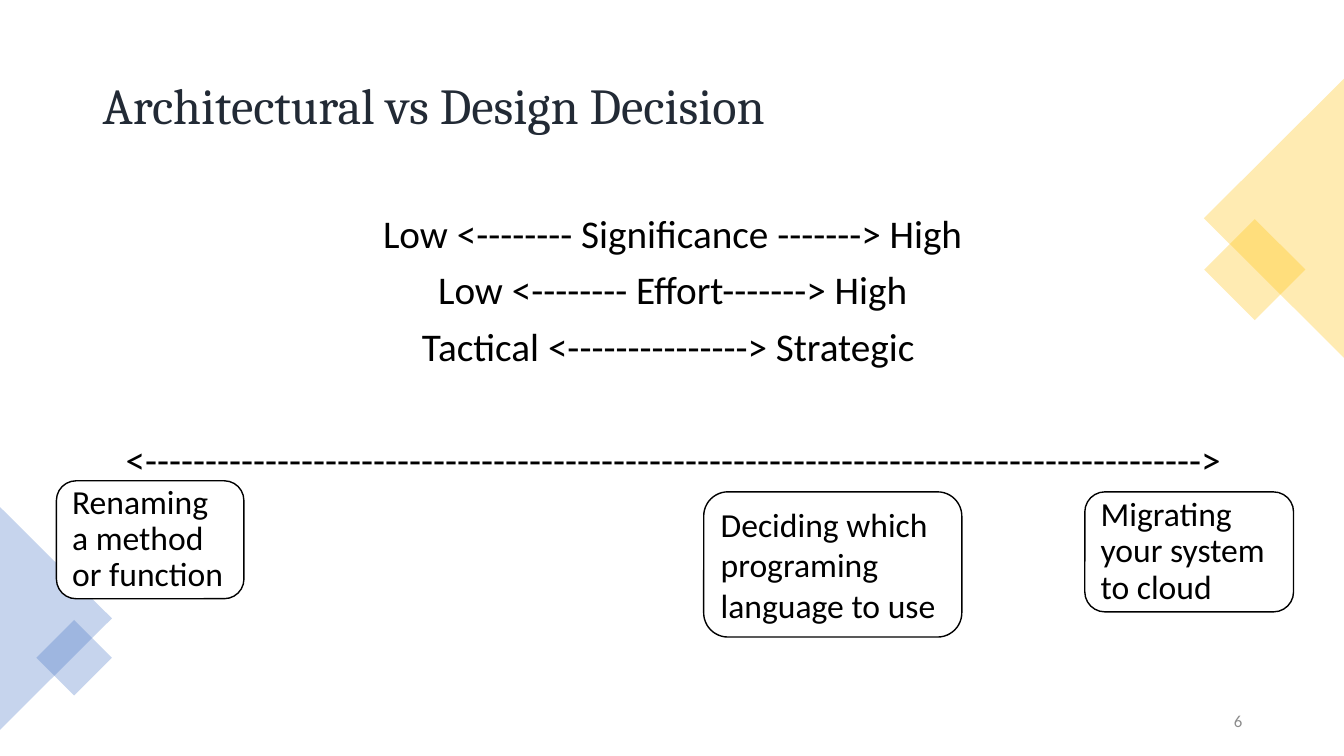
from dataclasses import dataclass

from lxml.etree import SubElement
from pptx import Presentation
from pptx.dml.color import RGBColor
from pptx.enum.shapes import MSO_SHAPE as Preset
from pptx.enum.text import MSO_ANCHOR as Anchor, PP_ALIGN as Align
from pptx.oxml.ns import qn
from pptx.util import Pt

EMU_PER_PX = 9144  # 100 px to the inch
GOLD, BLUE = "FFC000", "4472C4"
BLACK, WHITE, NAVY, GREY = "000000", "FFFFFF", "222A35", "8C8C8C"
TIGHT = 0.9


@dataclass(frozen=True)
class Box:
    left: int
    top: int
    width: int
    height: int

    def emu(self) -> list[int]:
        return [v * EMU_PER_PX for v in (self.left, self.top, self.width, self.height)]


@dataclass(frozen=True)
class Style:
    size: int
    color: str = BLACK
    font: str = "Calibri"
    align: Align = Align.LEFT
    spacing: float = 1.0


@dataclass(frozen=True)
class Ornament:
    preset: Preset
    box: Box
    rotation: int
    color: str


@dataclass(frozen=True)
class Decision:
    text: str
    box: Box
    spacing: float = TIGHT


@dataclass(frozen=True)
class Scale:
    text: str
    space_before: int


ORNAMENTS = [
    Ornament(Preset.RECTANGLE, Box(1209, 232, 71, 71), 45, GOLD),
    Ornament(Preset.ISOSCELES_TRIANGLE, Box(1125, 147, 277, 139), 270, GOLD),
    Ornament(Preset.ISOSCELES_TRIANGLE, Box(-55, 558, 221, 111), 90, BLUE),
    Ornament(Preset.RECTANGLE, Box(47, 626, 53, 53), 45, BLUE),
]
SCALES = [
    Scale("Low <-------- Significance -------> High", 0),
    Scale("Low <-------- Effort-------> High", 10),
    Scale("Tactical <---------------> Strategic ", 10),
    Scale("<" + "-" * 88 + ">", 51),
]
DECISIONS = [
    Decision("Deciding which programing language to use", Box(698, 488, 256, 144), 1.0),
    Decision("Renaming a method or function", Box(56, 477, 186, 117)),
    Decision("Migrating your system to cloud", Box(1076, 488, 207, 119)),
]


def rgb(color: str) -> RGBColor:
    return RGBColor.from_string(color)


def add_preset(slide, preset: Preset, box: Box, color: str):
    shape = slide.shapes.add_shape(preset, *box.emu())
    shape.shadow.inherit = False
    shape.fill.solid()
    shape.fill.fore_color.rgb = rgb(color)
    return shape


def write(paragraph, text: str, style: Style, space_before: int = 0) -> None:
    paragraph.alignment = style.align
    paragraph.line_spacing = style.spacing
    if space_before:
        paragraph.space_before = Pt(space_before)
    run = paragraph.add_run()
    run.text = text
    run.font.size = Pt(style.size)
    run.font.name = style.font
    run.font.color.rgb = rgb(style.color)


def add_text_frame(slide, box: Box, anchor: Anchor):
    frame = slide.shapes.add_textbox(*box.emu()).text_frame
    frame.word_wrap = True
    frame.vertical_anchor = anchor
    return frame


def add_ornament(slide, ornament: Ornament) -> None:
    shape = add_preset(slide, ornament.preset, ornament.box, ornament.color)
    shape.rotation = ornament.rotation
    shape.line.fill.background()
    # 30 % opacity
    fill_color = shape.fill._xPr.find(qn("a:solidFill"))[0]
    SubElement(fill_color, qn("a:alpha")).set("val", "30000")


def add_decision(slide, decision: Decision) -> None:
    card = add_preset(slide, Preset.ROUNDED_RECTANGLE, decision.box, WHITE)
    card.line.color.rgb = rgb(BLACK)
    card.line.width = Pt(1)
    frame = card.text_frame
    frame.word_wrap = True
    frame.vertical_anchor = Anchor.MIDDLE
    write(frame.paragraphs[0], decision.text, Style(24, spacing=decision.spacing))


def main() -> None:
    deck = Presentation()
    deck.slide_width, deck.slide_height = 1333 * EMU_PER_PX, 750 * EMU_PER_PX
    slide = deck.slides.add_slide(deck.slide_layouts[6])

    # Corner ornaments
    for ornament in ORNAMENTS:
        add_ornament(slide, ornament)

    # Title
    title = add_text_frame(slide, Box(92, 84, 1150, 47), Anchor.MIDDLE)
    write(title.paragraphs[0], "Architectural vs Design Decision",
          Style(36, NAVY, "Cambria", spacing=TIGHT))

    # Scales from design to architecture
    scales = add_text_frame(slide, Box(92, 208, 1150, 476), Anchor.TOP)
    scale_style = Style(28, align=Align.CENTER, spacing=TIGHT)
    for index, scale in enumerate(SCALES):
        paragraph = scales.add_paragraph() if index else scales.paragraphs[0]
        write(paragraph, scale.text, scale_style, scale.space_before)

    # Slide number
    number = add_text_frame(slide, Box(942, 695, 300, 40), Anchor.MIDDLE)
    write(number.paragraphs[0], "6", Style(12, GREY, align=Align.RIGHT))

    # Example decisions
    for decision in DECISIONS:
        add_decision(slide, decision)

    deck.save("out.pptx")


if __name__ == "__main__":
    main()
